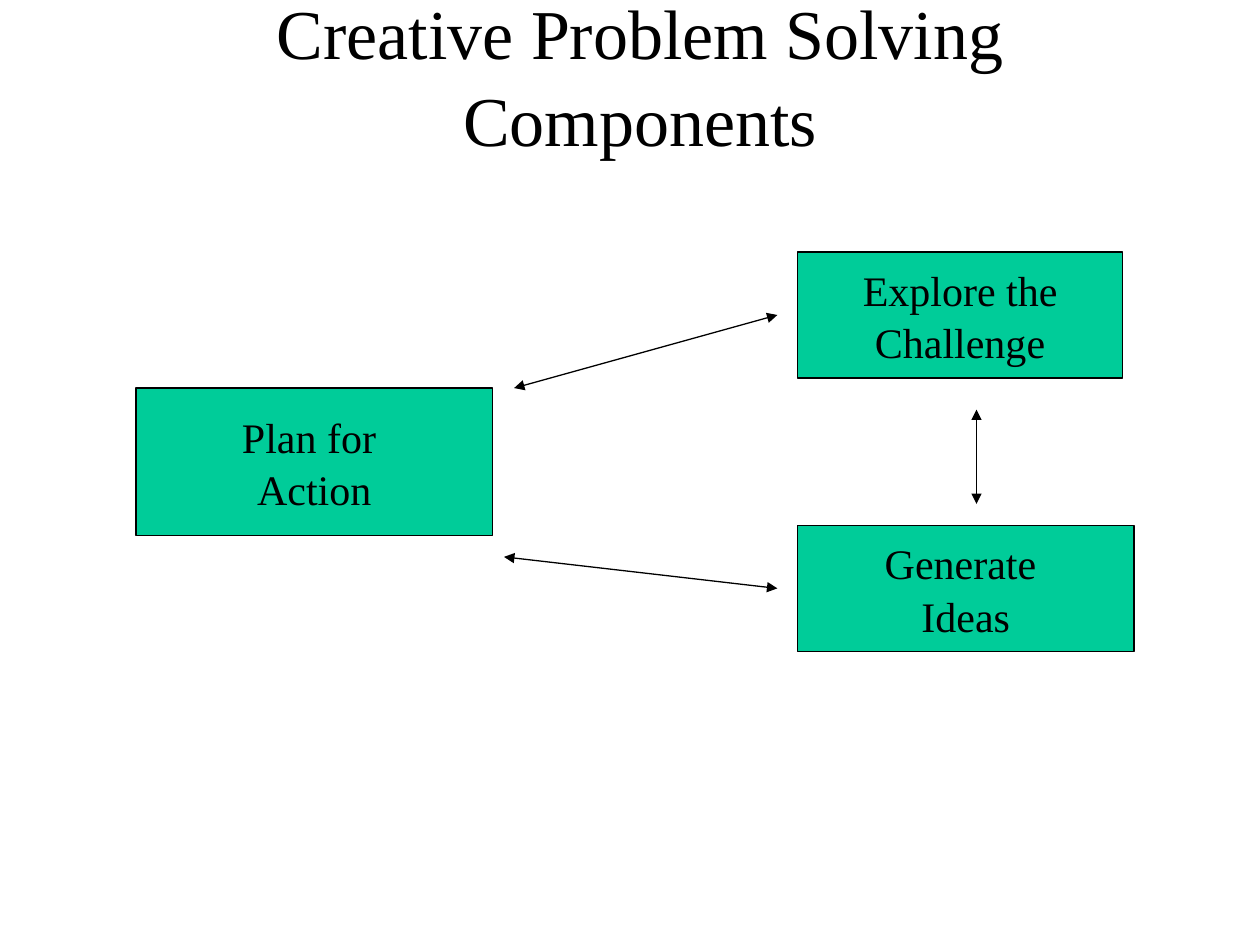
import pptx
import pptx.dml.color
import pptx.enum.shapes
import pptx.enum.text
import pptx.util
from dataclasses import dataclass
from lxml import etree
from pptx.util import Inches

INK = "000000"
GREEN = "00CC99"
FONT = "Times New Roman"


@dataclass
class Box:
    lines: list[str]
    left: float
    top: float
    width: float
    height: float


@dataclass
class Arrow:
    x1: float
    y1: float
    x2: float
    y2: float


BOXES = [
    Box(["Explore the", "Challenge"], 6.33, 2, 2.58, 1),
    Box(["Plan for ", "Action"], 1.08, 3.08, 2.83, 1.17),
    Box(["Generate ", "Ideas"], 6.33, 4.17, 2.67, 1),
]
ARROWS = [
    Arrow(4.08, 3.08, 6.17, 2.5),
    Arrow(7.75, 3.25, 7.75, 4),
    Arrow(4, 4.42, 6.17, 4.67),
]


def color(code: str) -> pptx.dml.color.RGBColor:
    return pptx.dml.color.RGBColor.from_string(code)


def write(shape, lines: list[str], *, size: float, wrap: bool) -> None:
    frame = shape.text_frame
    frame.word_wrap = wrap
    frame.vertical_anchor = pptx.enum.text.MSO_ANCHOR.MIDDLE
    for i, line in enumerate(lines):
        para = frame.add_paragraph() if i else frame.paragraphs[0]
        para.alignment = pptx.enum.text.PP_ALIGN.CENTER
        para.line_spacing = 1.04
        run = para.add_run()
        run.text = line
        run.font.name = FONT
        run.font.size = pptx.util.Pt(size)
        run.font.color.rgb = color(INK)


def stroke(line) -> None:
    line.color.rgb = color(INK)
    line.width = pptx.util.Pt(0.75)


def draw_box(slide, box: Box) -> None:
    shape = slide.shapes.add_shape(
        pptx.enum.shapes.MSO_SHAPE.RECTANGLE,
        Inches(box.left), Inches(box.top), Inches(box.width), Inches(box.height))
    shape.shadow.inherit = False
    shape.fill.solid()
    shape.fill.fore_color.rgb = color(GREEN)
    stroke(shape.line)
    write(shape, box.lines, size=24, wrap=False)


def draw_arrow(slide, arrow: Arrow) -> None:
    link = slide.shapes.add_connector(
        pptx.enum.shapes.MSO_CONNECTOR.STRAIGHT,
        Inches(arrow.x1), Inches(arrow.y1), Inches(arrow.x2), Inches(arrow.y2))
    stroke(link.line)
    props = link._element.spPr
    edge = props.find(pptx.oxml.ns.qn("a:ln"))
    for end in ("a:headEnd", "a:tailEnd"):
        etree.SubElement(edge, pptx.oxml.ns.qn(end), type="triangle")
    etree.SubElement(props, pptx.oxml.ns.qn("a:effectLst"))


def main() -> None:
    deck = pptx.Presentation()
    deck.slide_width, deck.slide_height = Inches(10), Inches(7.5)
    slide = deck.slides.add_slide(deck.slide_layouts[6])

    # Title
    title = slide.shapes.add_textbox(
        Inches(0.83), Inches(-0.08), Inches(8.5), Inches(1.33))
    write(title, ["Creative Problem Solving Components"], size=40, wrap=True)

    # Components
    for box in BOXES:
        draw_box(slide, box)

    # Two-way links
    for arrow in ARROWS:
        draw_arrow(slide, arrow)

    deck.save("out.pptx")


if __name__ == "__main__":
    main()
